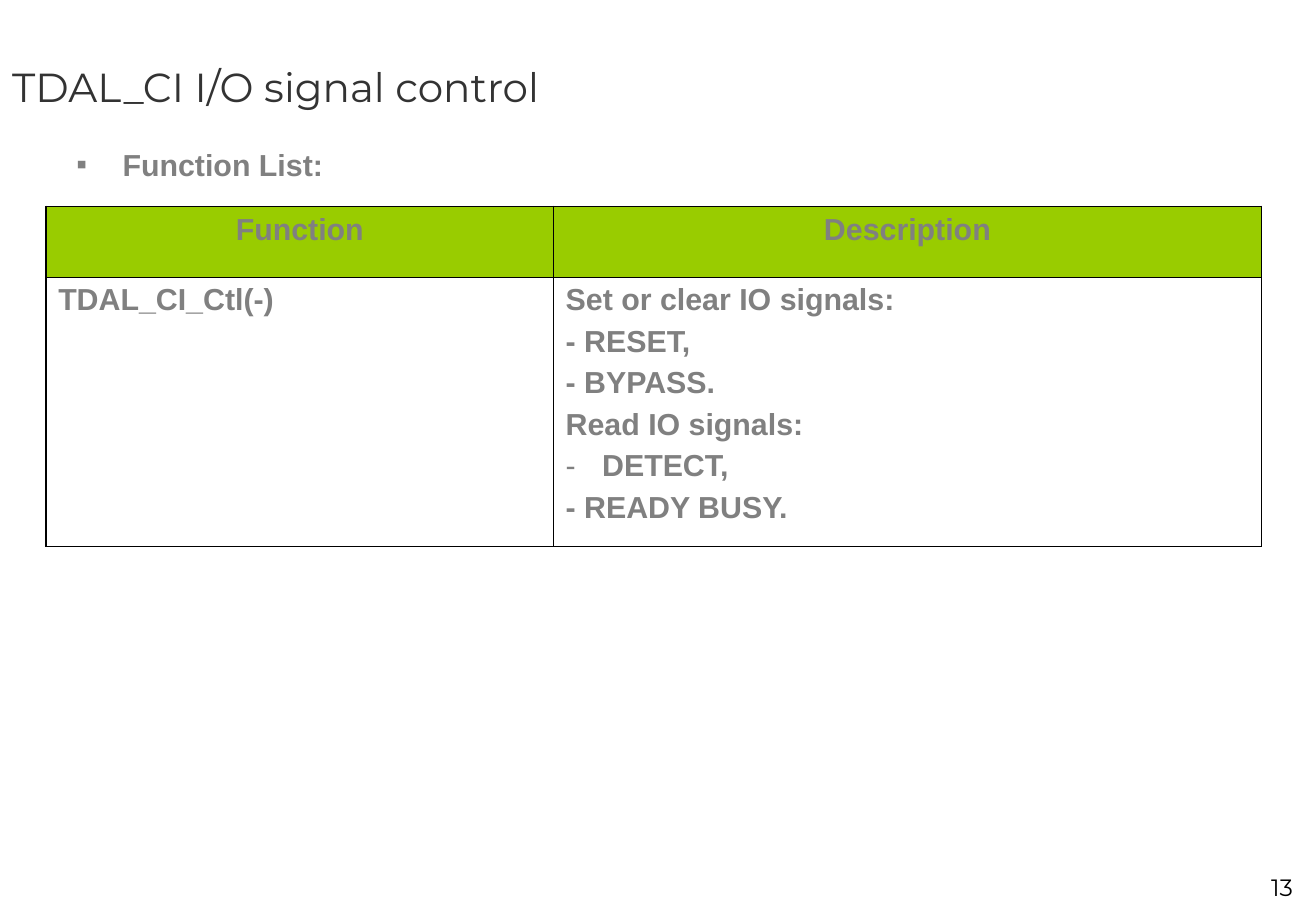
from pptx import Presentation
from pptx.dml.color import RGBColor
from pptx.enum.text import MSO_ANCHOR, MSO_AUTO_SIZE, PP_ALIGN
from pptx.oxml.ns import qn
from pptx.util import Inches, Pt
from lxml.etree import SubElement

# Content
TITLE = "TDAL_CI I/O signal control"
LIST_HEADING = "Function List:"
PAGE_NUMBER = "13"
BULLETED = "DETECT,"
FUNCTIONS = [
    (["Function"], ["Description"]),
    (["TDAL_CI_Ctl(-)"],
     ["Set or clear IO signals:", "- RESET,", "- BYPASS.",
      "Read IO signals:", BULLETED, "- READY BUSY."]),
]

# Formats
COLORS = {"title": "333333", "text": "808080", "header": "99CC00",
          "line": "000000", "number": "000000"}
FORMATS = {
    "title": {"name": "Montserrat", "size": Pt(24), "bold": False},
    "text": {"name": "Arial", "size": Pt(18), "bold": True},
    "number": {"name": "Montserrat", "size": Pt(14), "bold": False},
}
COLUMN_WIDTHS = [4.18, 5.83]
ROW_HEIGHTS = [0.58, 2.22]
OUTER_LINE, INNER_LINE = Pt(1.08), Pt(0.45)


def place(shape, left, top, width, height):
    shape.left, shape.top = Inches(left), Inches(top)
    shape.width, shape.height = Inches(width), Inches(height)


def add_bullet(paragraph, symbol, indent):
    props = paragraph._p.get_or_add_pPr()
    props.set("marL", str(Inches(indent)))
    props.set("indent", str(-Inches(indent)))
    color = SubElement(props, qn("a:buClr"))
    SubElement(color, qn("a:srgbClr"), val=COLORS["text"])
    SubElement(props, qn("a:buFont"), typeface="Arial")
    SubElement(props, qn("a:buChar"), char=symbol)


def write(paragraph, text, role, align=PP_ALIGN.LEFT, before=0):
    run = paragraph.add_run()
    run.text = text
    paragraph.alignment = align
    paragraph.space_before = Pt(before)
    for attribute, value in FORMATS[role].items():
        setattr(run.font, attribute, value)
    run.font.color.rgb = RGBColor.from_string(COLORS[role])


def draw_border(cell, sides):
    props = cell._tc.get_or_add_tcPr()
    for side, width in sides.items():
        line = SubElement(props, qn(f"a:ln{side}"), w=str(width))
        fill = SubElement(line, qn("a:solidFill"))
        SubElement(fill, qn("a:srgbClr"), val=COLORS["line"])


deck = Presentation()
deck.slide_width, deck.slide_height = Inches(10.84), Inches(7.5)
slide = deck.slides.add_slide(deck.slide_layouts[1])

# Title and list heading
title, body = slide.shapes.title, slide.placeholders[1]
place(title, 0, 0, 10.83, 1.42)
place(body, 0.53, 1.15, 9.91, 4.95)
for placeholder, anchor in ((title, MSO_ANCHOR.MIDDLE), (body, MSO_ANCHOR.TOP)):
    placeholder.text_frame.auto_size = MSO_AUTO_SIZE.NONE
    placeholder.text_frame.vertical_anchor = anchor
write(title.text_frame.paragraphs[0], TITLE, "title")
heading = body.text_frame.paragraphs[0]
add_bullet(heading, "▪", 0.38)
write(heading, LIST_HEADING, "text")

# Function table
last_row, last_column = len(ROW_HEIGHTS) - 1, len(COLUMN_WIDTHS) - 1
table = slide.shapes.add_table(
    len(ROW_HEIGHTS), len(COLUMN_WIDTHS), Inches(0.38), Inches(1.7),
    Inches(sum(COLUMN_WIDTHS)), Inches(sum(ROW_HEIGHTS))).table
table.first_row = table.horz_banding = False
for column, width in zip(table.columns, COLUMN_WIDTHS):
    column.width = Inches(width)
for row, height in zip(table.rows, ROW_HEIGHTS):
    row.height = Inches(height)

for r, entries in enumerate(FUNCTIONS):
    for c, lines in enumerate(entries):
        cell = table.cell(r, c)
        is_outer = {"L": c == 0, "R": c == last_column,
                    "T": r == 0, "B": r == last_row}
        draw_border(cell, {side: OUTER_LINE if outer else INNER_LINE
                           for side, outer in is_outer.items()})
        if r == 0:
            cell.fill.solid()
            cell.fill.fore_color.rgb = RGBColor.from_string(COLORS["header"])
        else:
            cell.fill.background()
        frame = cell.text_frame
        for i, text in enumerate(lines):
            paragraph = frame.add_paragraph() if i else frame.paragraphs[0]
            if text == BULLETED:
                add_bullet(paragraph, "-", 0.3)
            write(paragraph, text, "text",
                  PP_ALIGN.LEFT if r else PP_ALIGN.CENTER, 4.5 if i else 0)

# Page number
number = slide.shapes.add_textbox(
    Inches(9.59), Inches(7.14), Inches(1.16), Inches(0.33))
number.text_frame.word_wrap = True
write(number.text_frame.paragraphs[0], PAGE_NUMBER, "number", PP_ALIGN.RIGHT)

deck.save("out.pptx")
